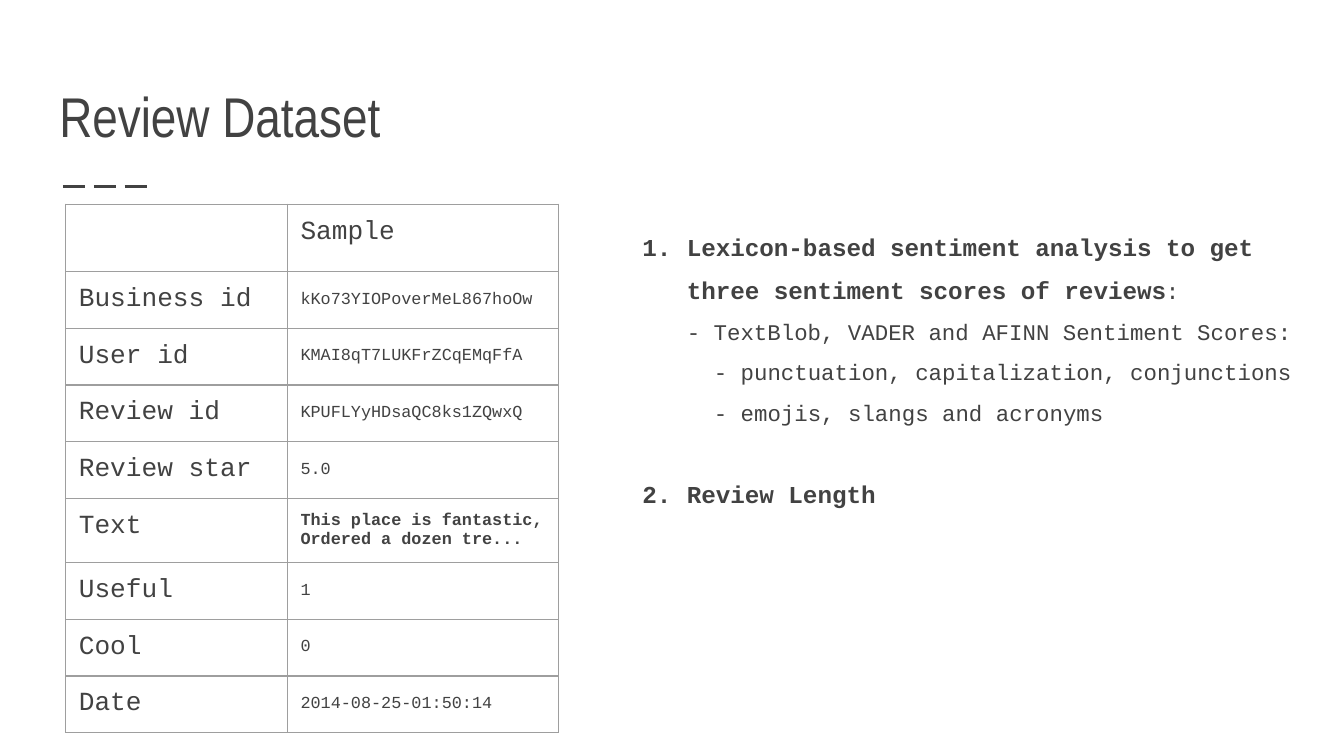
import pptx
import pptx.util
import pptx.dml.color
import pptx.enum.dml
import pptx.enum.shapes
import pptx.enum.text
import pptx.oxml
import pptx.oxml.ns
import lxml.etree

Cm = pptx.util.Cm
Pt = pptx.util.Pt
INK = "424242"
GRID = "9E9E9E"
NAMESPACE = pptx.oxml.ns.nsdecls("a")


def color(value):
    return pptx.dml.color.RGBColor.from_string(value)


def format_run(run, size, bold=False, font="Courier New"):
    run.font.name = font
    run.font.size = Pt(size)
    run.font.bold = bold
    run.font.color.rgb = color(INK)


presentation = pptx.Presentation()
presentation.slide_width = Cm(25.4)
presentation.slide_height = Cm(14.29)
slide = presentation.slides.add_slide(presentation.slide_layouts[1])
title = slide.shapes.title
body = slide.placeholders[1]

for shape, left, top, width, height in [
    (title, 0.87, 1.04, 23.67, 2.03),
    (body, 11.46, 3.86, 13.31, 9.98),
]:
    shape.left, shape.top = Cm(left), Cm(top)
    shape.width, shape.height = Cm(width), Cm(height)
    frame = shape.text_frame
    frame.word_wrap = True
    frame.auto_size = pptx.enum.text.MSO_AUTO_SIZE.NONE
    frame.margin_left = frame.margin_right = Cm(0.25)
    frame.margin_top = frame.margin_bottom = Cm(0.25)

title.text_frame.text = "Review Dataset"
title.text_frame.vertical_anchor = pptx.enum.text.MSO_ANCHOR.BOTTOM
paragraph = title.text_frame.paragraphs[0]
paragraph.alignment = pptx.enum.text.PP_ALIGN.LEFT
format_run(paragraph.runs[0], 30, font="Arial Narrow")

dashes = slide.shapes.add_connector(
    pptx.enum.shapes.MSO_CONNECTOR.STRAIGHT, Cm(1.19), Cm(3.53), Cm(2.9), Cm(3.53)
)
dashes.line.color.rgb = color(INK)
dashes.line.width = Pt(1.5)
dashes.line.dash_style = pptx.enum.dml.MSO_LINE.LONG_DASH
lxml.etree.SubElement(dashes._element.spPr, pptx.oxml.ns.qn("a:effectLst"))

fields = [
    ("", "Sample"),
    ("Business id", "kKo73YIOPoverMeL867hoOw"),
    ("User id", "KMAI8qT7LUKFrZCqEMqFfA"),
    ("Review id", "KPUFLYyHDsaQC8ks1ZQwxQ"),
    ("Review star", "5.0"),
    ("Text", "This place is fantastic, Ordered a dozen tre..."),
    ("Useful", "1"),
    ("Cool", "0"),
    ("Date", "2014-08-25-01:50:14"),
]
table = slide.shapes.add_table(
    len(fields), 2, Cm(1.24), Cm(3.86), Cm(9.32), Cm(9.91)
).table
table.first_row = False
table.horz_banding = False
table.columns[0].width = Cm(4.19)
table.columns[1].width = Cm(5.13)

for row, field in enumerate(fields):
    tall = field[0] in ("", "Text")
    table.rows[row].height = Cm(1.22 if tall else 1.07)
    for column, text in enumerate(field):
        cell = table.cell(row, column)
        cell.fill.background()
        cell.margin_left = cell.margin_right = Cm(0.25)
        cell.margin_top = cell.margin_bottom = Cm(0.25)
        is_value = row > 0 and column == 1
        if is_value:
            cell.vertical_anchor = pptx.enum.text.MSO_ANCHOR.MIDDLE
        cell.text_frame.text = text
        for run in cell.text_frame.paragraphs[0].runs:
            format_run(run, 9 if is_value else 14, is_value and field[0] == "Text")
        properties = cell._tc.get_or_add_tcPr()
        for position, side in enumerate("LRTB"):
            border = pptx.oxml.parse_xml(
                f'<a:ln{side} {NAMESPACE} w="{Pt(0.75)}"><a:solidFill>'
                f'<a:srgbClr val="{GRID}"/></a:solidFill></a:ln{side}>'
            )
            properties.insert(position, border)

points = [
    (1, 0, "Lexicon-based sentiment analysis to get three sentiment scores of reviews"),
    (None, 0, "- TextBlob, VADER and AFINN Sentiment Scores:"),
    (None, 1, "- punctuation, capitalization, conjunctions"),
    (None, 1, "- emojis, slangs and acronyms"),
    (2, 0, "Review Length"),
]
body.text_frame.text = "\n".join(text for number, level, text in points)
for paragraph, (number, level, text) in zip(body.text_frame.paragraphs, points):
    paragraph.line_spacing = 1.5
    paragraph.space_before = Pt(21 if number == 2 else 0)
    paragraph.space_after = Pt(0)
    format_run(paragraph.runs[0], 13 if number else 12, bool(number))
    properties = paragraph._p.get_or_add_pPr()
    properties.set("marL", str(Cm(1.27 + 0.51 * level)))
    properties.set("indent", str(Cm(-0.84 if number else 0)))
    bullets = ["<a:buNone {}/>"]
    if number:
        bullets = [
            f'<a:buClr {{}}><a:srgbClr val="{INK}"/></a:buClr>',
            '<a:buFont {} typeface="Courier New"/>',
            f'<a:buAutoNum {{}} type="arabicPeriod" startAt="{number}"/>',
        ]
    for bullet in bullets:
        properties.append(pptx.oxml.parse_xml(bullet.format(NAMESPACE)))

colon = body.text_frame.paragraphs[0].add_run()
colon.text = ":"
format_run(colon, 12)

presentation.save("out.pptx")
